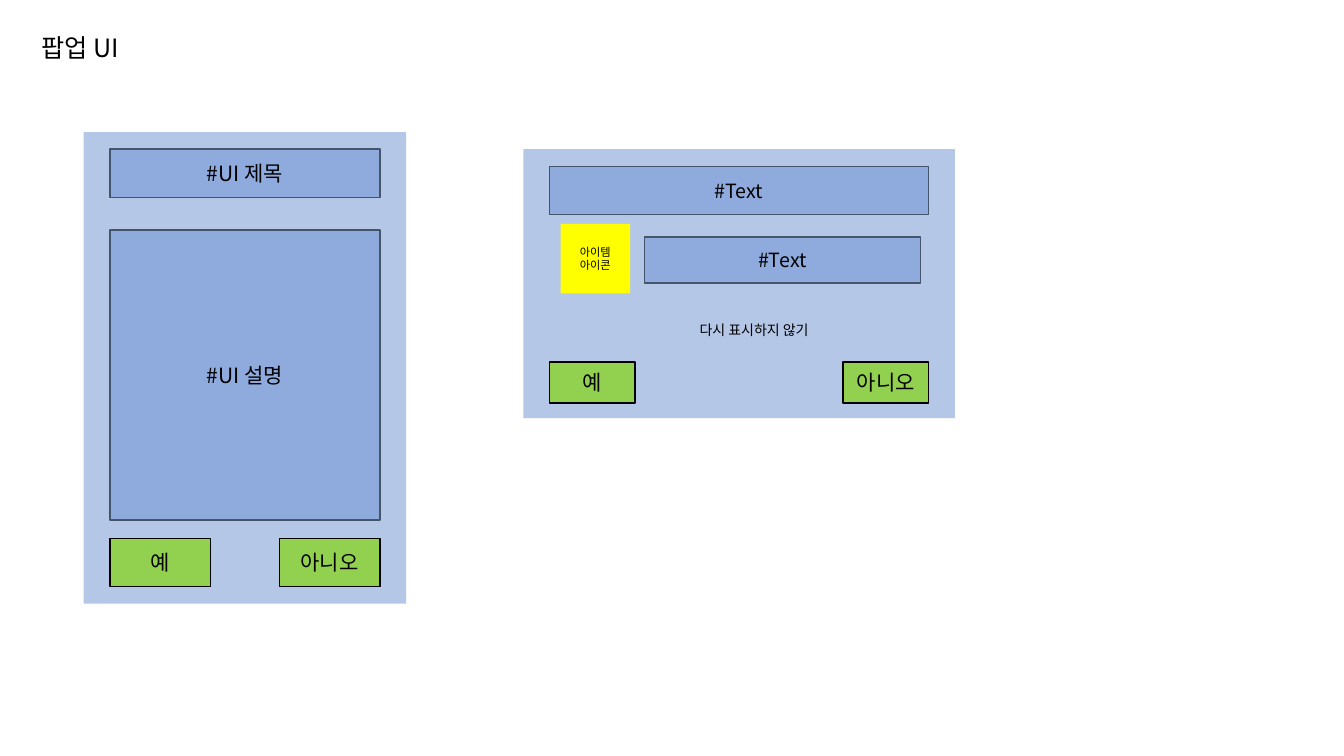
import pptx
import pptx.dml.color
import pptx.enum.shapes
import pptx.enum.text
import pptx.oxml.ns
import pptx.util
from lxml import etree

Inches = pptx.util.Inches
FONT = "Noto Sans CJK KR"
PANEL, FIELD, BUTTON, ICON = "B4C7E7", "8FAADC", "92D050", "FFFF00"
FIELD_LINE, BLACK = "44546A", "000000"
MARGIN = 0.26
TOP_GAP = 0.17
FIELD_HEIGHT = 0.48


def color(hex_string):
    """Turn a hex string into a colour."""
    return pptx.dml.color.RGBColor.from_string(hex_string)


def write_text(frame, lines, size, alignment):
    """Write one paragraph per line in the slide font."""
    frame.text = "\n".join(lines)
    for paragraph in frame.paragraphs:
        paragraph.alignment = alignment
        paragraph.font.size = pptx.util.Pt(size)
        paragraph.font.color.rgb = color(BLACK)
        paragraph.font.name = FONT
        properties = paragraph._p.pPr.find(pptx.oxml.ns.qn("a:defRPr"))
        etree.SubElement(properties, pptx.oxml.ns.qn("a:ea"), typeface=FONT)


def add_box(slide, left, top, width, height, fill, line=None, lines=(), size=15):
    """Add a filled rectangle with centred text."""
    shape = slide.shapes.add_shape(
        pptx.enum.shapes.MSO_SHAPE.RECTANGLE,
        Inches(left), Inches(top), Inches(width), Inches(height))
    shape.shadow.inherit = False
    shape.fill.solid()
    shape.fill.fore_color.rgb = color(fill)
    if line:
        shape.line.color.rgb = color(line)
        shape.line.width = pptx.util.Pt(1)
    else:
        shape.line.fill.background()
    if lines:
        shape.text_frame.vertical_anchor = pptx.enum.text.MSO_ANCHOR.MIDDLE
        write_text(shape.text_frame, lines, size, pptx.enum.text.PP_ALIGN.CENTER)


def add_label(slide, left, top, width, height, text, size):
    """Add a one-line text box."""
    label = slide.shapes.add_textbox(
        Inches(left), Inches(top), Inches(width), Inches(height))
    label.text_frame.word_wrap = False
    label.text_frame.auto_size = pptx.enum.text.MSO_AUTO_SIZE.SHAPE_TO_FIT_TEXT
    write_text(label.text_frame, [text], size, pptx.enum.text.PP_ALIGN.LEFT)


def add_answers(slide, left, top, width, button_width, button_height):
    """Add the yes and no buttons at both ends of a row."""
    for button_left, answer in ((left, "예"), (left + width - button_width, "아니오")):
        add_box(slide, button_left, top, button_width, button_height,
                BUTTON, BLACK, [answer])


def add_description_popup(slide, left, top, width, height):
    """Draw the popup with a title, a description and two buttons."""
    inner_left, inner_width = left + MARGIN, width - 2 * MARGIN
    add_box(slide, left, top, width, height, PANEL)
    add_box(slide, inner_left, top + TOP_GAP, inner_width, FIELD_HEIGHT,
            FIELD, FIELD_LINE, ["#UI 제목"])
    add_box(slide, inner_left, top + 0.97, inner_width, 2.88,
            FIELD, FIELD_LINE, ["#UI 설명"])
    add_answers(slide, inner_left, top + 4.03, inner_width, 1, 0.48)


def add_item_popup(slide, left, top, width, height):
    """Draw the popup with an item icon, texts and two buttons."""
    inner_left, inner_width = left + MARGIN, width - 2 * MARGIN
    add_box(slide, left, top, width, height, PANEL)
    add_box(slide, inner_left, top + TOP_GAP, inner_width, FIELD_HEIGHT,
            FIELD, FIELD_LINE, ["#Text"], 14)
    add_answers(slide, inner_left, top + 2.11, inner_width, 0.85, 0.41)
    add_box(slide, left + 0.37, top + 0.74, 0.69, 0.69, ICON,
            lines=["아이템", "아이콘"], size=8)
    add_box(slide, left + 1.2, top + 0.87, 2.74, 0.46,
            FIELD, FIELD_LINE, ["#Text"], 14)
    add_label(slide, left + 1.65, top + 1.66, 1.42, 0.27, "다시 표시하지 않기", 10)


def main():
    """Build and save the popup slide."""
    presentation = pptx.Presentation()
    presentation.slide_width = Inches(13.33)
    presentation.slide_height = Inches(7.5)
    slide = presentation.slides.add_slide(presentation.slide_layouts[6])
    add_label(slide, 0.31, 0.27, 1.04, 0.4, "팝업 UI", 18)
    add_description_popup(slide, 0.83, 1.31, 3.2, 4.68)
    add_item_popup(slide, 5.19, 1.48, 4.28, 2.67)
    presentation.save("out.pptx")


if __name__ == "__main__":
    main()
